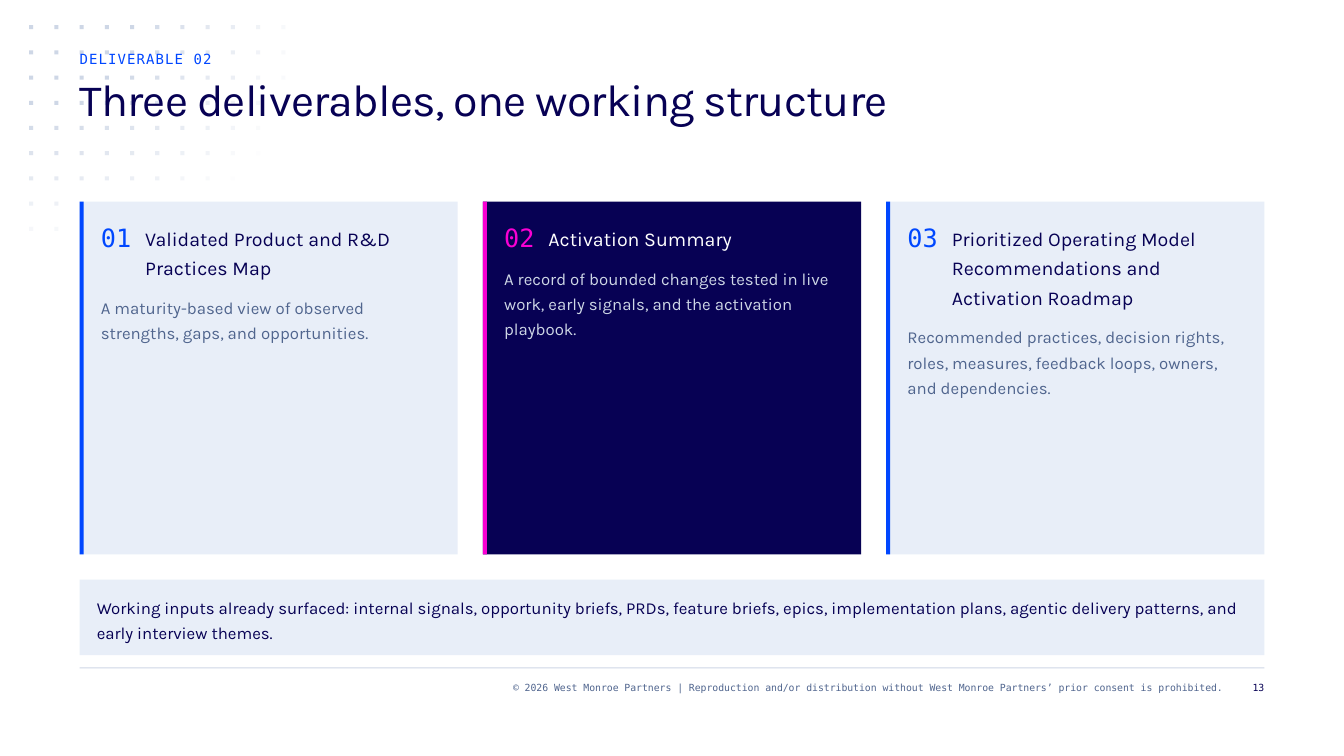
from dataclasses import dataclass
from math import hypot

from lxml import etree
from pptx import Presentation
from pptx import util as u
from pptx.dml import color
from pptx.enum import shapes, text
from pptx.oxml import ns
from pptx.shapes import shapetree as st

COLORS = {
    "navy": "070154",
    "blue": "0047FF",
    "pink": "F900D3",
    "slate": "50658E",
    "mist": "CED7E6",
    "pale": "E8EEF8",
    "white": "FFFFFF",
}
SANS = "Karla"
MONO = "DejaVu Sans Mono"
MARGIN = 0.79
CONTENT_W = 11.75
CARD_TOP = 2
CARD_W = 3.75
CARD_H = 3.5
CARD_STEP = 4
TITLE_LINE_H = 21 / 72
BODY_LINE_H = 18 / 72


@dataclass(frozen=True)
class Style:
    font: str
    size: float
    leading: float
    color: str
    spacing: float = 0
    right: bool = False


@dataclass(frozen=True)
class Card:
    number: str
    title: str
    title_lines: int
    body: str
    body_lines: int
    fill: str = "pale"
    accent: str = "blue"
    title_color: str = "navy"
    body_color: str = "slate"


CARDS = [
    Card("01", "Validated Product and R&D Practices Map", 2,
         "A maturity-based view of observed strengths, gaps, and opportunities.", 2),
    Card("02", "Activation Summary", 1,
         "A record of bounded changes tested in live work, early signals, and the activation playbook.", 3,
         "navy", "pink", "white", "mist"),
    Card("03", "Prioritized Operating Model Recommendations and Activation Roadmap", 3,
         "Recommended practices, decision rights, roles, measures, feedback loops, owners, and dependencies.", 3),
]


def rgb(name: str) -> color.RGBColor:
    return color.RGBColor.from_string(COLORS[name])


def add_rect(tree: st._BaseGroupShapes, x: float, y: float, w: float, h: float,
             fill: str, alpha: int = 100) -> None:
    sp = tree.add_shape(shapes.MSO_SHAPE.RECTANGLE, *map(u.Inches, (x, y, w, h)))
    sp.shadow.inherit = False
    sp.fill.solid()
    sp.fill.fore_color.rgb = rgb(fill)
    sp.line.fill.background()
    if alpha < 100:
        clr = sp.fill._xPr.find(".//" + ns.qn("a:srgbClr"))
        etree.SubElement(clr, ns.qn("a:alpha"), val=str(alpha * 1000))


def add_text(tree: st._BaseGroupShapes, x: float, y: float, w: float, h: float,
             content: str, style: Style) -> None:
    tf = tree.add_textbox(*map(u.Inches, (x, y, w, h))).text_frame
    tf.word_wrap = True
    tf.margin_left = tf.margin_top = tf.margin_right = tf.margin_bottom = 0
    p = tf.paragraphs[0]
    p.line_spacing = u.Pt(style.leading)
    if style.right:
        p.alignment = text.PP_ALIGN.RIGHT
    r = p.add_run()
    r.text = content
    r.font.name = style.font
    r.font.size = u.Pt(style.size)
    r.font.color.rgb = rgb(style.color)
    if style.spacing:
        r._r.get_or_add_rPr().set("spc", str(round(style.spacing * 100)))


def add_dots(tree: st._BaseGroupShapes) -> None:
    for col in range(11):
        for row in range(9):
            x, y = 0.29 + 0.25 * col, 0.25 + 0.25 * row
            alpha = min(100, round(154 * (1 - hypot(col / 11.07, row / 9.07))))
            behind_card = x >= MARGIN and y >= CARD_TOP
            if alpha > 0 and not behind_card:
                add_rect(tree, x, y, 0.04, 0.04, "mist", alpha)


def add_card(tree: st._BaseGroupShapes, x: float, card: Card) -> None:
    group = tree.add_group_shape().shapes
    add_rect(group, x, CARD_TOP, CARD_W, CARD_H, card.fill)
    add_rect(group, x, CARD_TOP, 0.04, CARD_H, card.accent)
    add_text(group, x + 0.21, 2.17, 0.31, 0.33, card.number, Style(MONO, 18, 24, card.accent))
    title_h = card.title_lines * TITLE_LINE_H
    add_text(group, x + 0.65, 2.19, 2.94, title_h, card.title, Style(SANS, 14, 21, card.title_color))
    add_text(group, x + 0.21, 2.32 + title_h, 3.38, card.body_lines * BODY_LINE_H,
             card.body, Style(SANS, 12, 18, card.body_color))


def main() -> None:
    prs = Presentation()
    prs.slide_width, prs.slide_height = u.Inches(13.33), u.Inches(7.5)
    s = prs.slides.add_slide(prs.slide_layouts[6])
    s.background.fill.solid()
    s.background.fill.fore_color.rgb = rgb("white")
    tree = s.shapes

    add_rect(tree, MARGIN, 6.62, CONTENT_W, 0.01, "mist")
    add_dots(tree)
    add_text(tree, 2.38, 6.75, 9.75, 0.25,
             "© 2026 West Monroe Partners | Reproduction and/or distribution without "
             "West Monroe Partners’ prior consent is prohibited.",
             Style(MONO, 7, 9, "slate", right=True))
    add_text(tree, 12.21, 6.75, 0.33, 0.25, "13", Style(MONO, 7, 9, "navy", right=True))

    for i, card in enumerate(CARDS):
        add_card(tree, MARGIN + i * CARD_STEP, card)

    inputs = tree.add_group_shape().shapes
    add_rect(inputs, MARGIN, 5.75, CONTENT_W, 0.75, "pale")
    add_text(inputs, 0.96, 5.88, 11.42, 0.5,
             "Working inputs already surfaced: internal signals, opportunity briefs, PRDs, "
             "feature briefs, epics, implementation plans, agentic delivery patterns, and "
             "early interview themes.",
             Style(SANS, 12, 18, "navy"))

    add_text(tree, MARGIN, 0.75, 10.25, 1, "Three deliverables, one working structure",
             Style(SANS, 32, 36, "navy", -0.6))
    add_text(tree, MARGIN, 0.5, 10.25, 0.25, "DELIVERABLE 02", Style(MONO, 10, 12, "blue", 0.8))

    prs.save("out.pptx")


if __name__ == "__main__":
    main()
